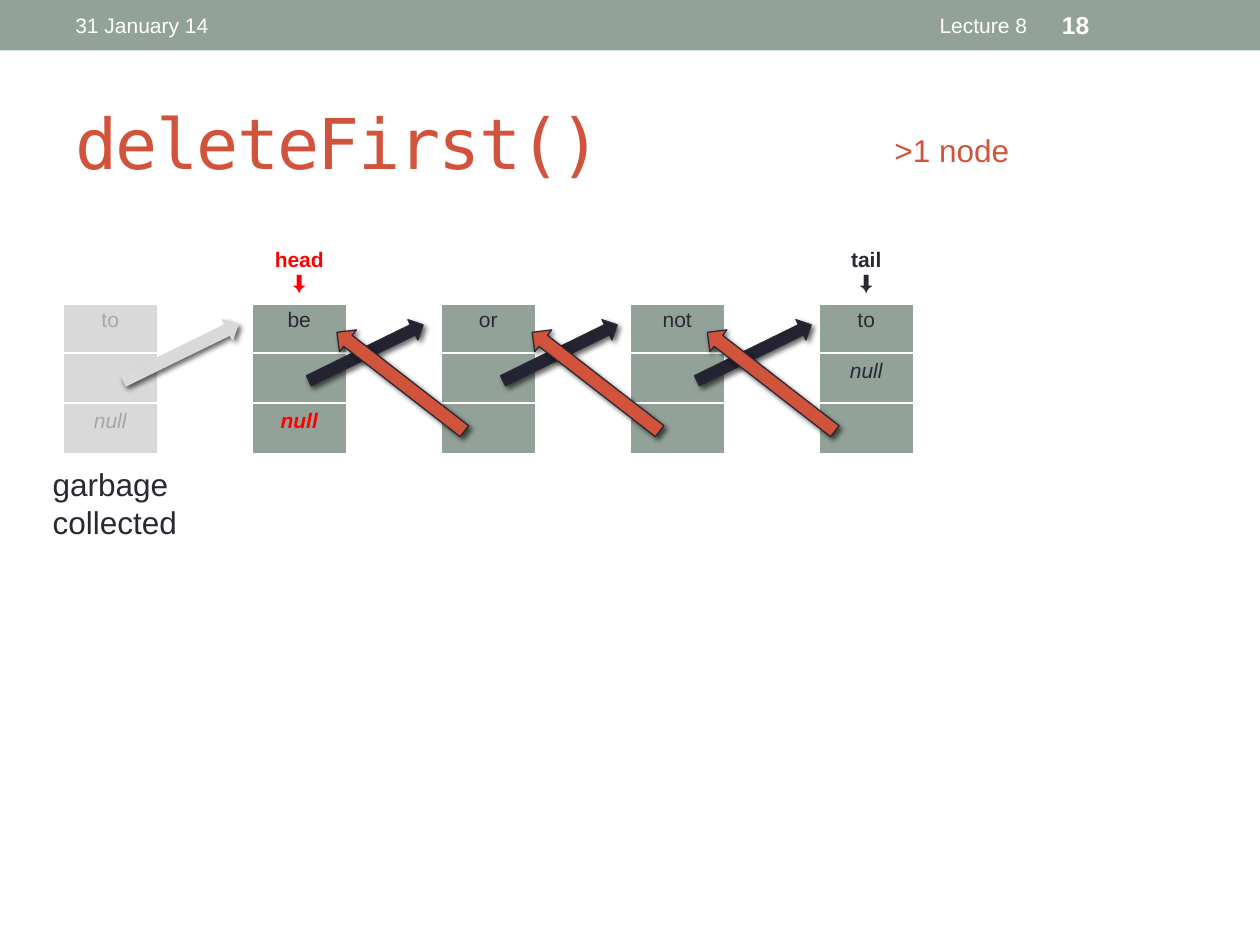
from lxml.etree import SubElement
from pptx import Presentation
from pptx.dml.color import RGBColor
from pptx.enum.shapes import MSO_SHAPE
from pptx.enum.text import MSO_ANCHOR, PP_ALIGN
from pptx.oxml import parse_xml
from pptx.oxml.ns import nsdecls, qn
from pptx.util import Inches, Pt

SAGE = RGBColor(0x93, 0xA2, 0x99)
RUST = RGBColor(0xD2, 0x53, 0x3C)
INK = RGBColor(0x29, 0x29, 0x34)
DEEP_INK = RGBColor(0x23, 0x23, 0x31)
RED = RGBColor(0xFF, 0x00, 0x00)
PALE = RGBColor(0xD9, 0xD9, 0xD9)
GREY = RGBColor(0xA6, 0xA6, 0xA6)
WHITE = RGBColor(0xFF, 0xFF, 0xFF)

TITLE = "deleteFirst()"
LABELS = [
    ("31 January 14", (0.5, 0.02, 3.17, 0.36), 12, WHITE, False, PP_ALIGN.LEFT, MSO_ANCHOR.MIDDLE, True),
    ("Lecture 8", (3.75, 0.02, 4.5, 0.36), 12, WHITE, False, PP_ALIGN.RIGHT, MSO_ANCHOR.MIDDLE, True),
    ("18", (8.33, 0.02, 1.17, 0.36), 14, WHITE, True, PP_ALIGN.LEFT, MSO_ANCHOR.MIDDLE, True),
    (">1 node", (7, 0.99, 1.12, 0.4), 18, RUST, False, PP_ALIGN.LEFT, MSO_ANCHOR.TOP, False),
    ("garbage collected", (0.32, 3.64, 1.24, 0.71), 18, INK, False, PP_ALIGN.LEFT, MSO_ANCHOR.TOP, True),
]
NODES = [
    ("", "to", "", "null"),
    ("head\n\u2b07", "be", "", "null"),
    ("", "or", "", ""),
    ("", "not", "", ""),
    ("tail\n\u2b07", "to", "null", ""),
]
GARBAGE, HEAD = 0, 1
COLUMNS, COLUMN_WIDTH = 12, 0.75
ROW_HEIGHTS = [0.48, 0.4, 0.4, 0.4]

NEXT_ARROW = (2.71, 1.01, 0.18, 333.9)
PREVIOUS_ARROW = (2.92, 1.28, 0.22, 217.8)
ARROWS = [(0.93, NEXT_ARROW, PALE, PALE)]
ARROWS += [(left, NEXT_ARROW, DEEP_INK, INK) for left in (2.4, 3.94, 5.48)]
ARROWS += [(left, PREVIOUS_ARROW, RUST, INK) for left in (5.48, 4.09, 2.54)]

SHADOW = (
    f'<a:effectLst {nsdecls("a")}><a:outerShdw blurRad="38100" dist="25400" dir="2700000" rotWithShape="0">'
    '<a:srgbClr val="000000"><a:alpha val="60000"/></a:srgbClr></a:outerShdw></a:effectLst>'
)


def set_font(paragraph, size, color, bold=False, italic=False, name="Arial"):
    font = paragraph.font
    font.name, font.size, font.bold, font.italic = name, Pt(size), bold, italic
    font.color.rgb = color


def add_label(text, box, size, color, bold, align, anchor, wrap):
    frame = slide.shapes.add_textbox(*map(Inches, box)).text_frame
    frame.text = text
    frame.word_wrap = wrap
    frame.vertical_anchor = anchor
    frame.paragraphs[0].alignment = align
    set_font(frame.paragraphs[0], size, color, bold)


def set_borders(cell, bottom):
    properties = cell._tc.get_or_add_tcPr()
    for side, width in (("lnL", 1), ("lnR", 1), ("lnT", 1), ("lnB", bottom)):
        line = SubElement(properties, qn(f"a:{side}"), w=str(Pt(width)))
        SubElement(SubElement(line, qn("a:solidFill")), qn("a:srgbClr"), val=str(WHITE))


def fill_cell(cell, row, node):
    text = NODES[node][row] if node is not None else ""
    set_borders(cell, 3 if row == 0 else 1)
    if node is None or row == 0:
        cell.fill.background()
    else:
        cell.fill.solid()
        cell.fill.fore_color.rgb = PALE if node == GARBAGE else SAGE
    changed = node == HEAD and (row == 0 or text == "null")
    color = RED if changed else GREY if node == GARBAGE else INK
    cell.text = text
    for paragraph in cell.text_frame.paragraphs:
        paragraph.alignment = PP_ALIGN.CENTER
        set_font(paragraph, 12, color, row == 0 or changed, text == "null")


def add_arrow(left, arrow, fill, outline):
    top, width, height, rotation = arrow
    pointer = slide.shapes.add_shape(
        MSO_SHAPE.RIGHT_ARROW, Inches(left), Inches(top), Inches(width), Inches(height))
    pointer.rotation = rotation
    pointer.fill.solid()
    pointer.fill.fore_color.rgb = fill
    pointer.line.color.rgb = outline
    pointer.line.width = Pt(0.75)
    pointer._element.spPr.append(parse_xml(SHADOW))


deck = Presentation()
deck.slide_width, deck.slide_height = Inches(10), Inches(7.5)
slide = deck.slides.add_slide(deck.slide_layouts[5])

banner = slide.shapes.add_shape(MSO_SHAPE.RECTANGLE, 0, 0, deck.slide_width, Inches(0.4))
banner.shadow.inherit = False
banner.fill.solid()
banner.fill.fore_color.rgb = SAGE
banner.line.fill.background()

title = slide.shapes.title
title.left, title.top, title.width, title.height = map(Inches, (0.5, 0.58, 9, 1.08))
title.text_frame.text = TITLE
title.text_frame.vertical_anchor = MSO_ANCHOR.MIDDLE
heading = title.text_frame.paragraphs[0]
heading.alignment = PP_ALIGN.LEFT
set_font(heading, 40, RUST, name="DejaVu Sans Mono")
heading.runs[0]._r.get_or_add_rPr().set("spc", "-100")

linked_list = slide.shapes.add_table(
    len(ROW_HEIGHTS), COLUMNS, Inches(0.5), Inches(1.92),
    Inches(COLUMNS * COLUMN_WIDTH), Inches(sum(ROW_HEIGHTS))).table
linked_list.first_row = linked_list.horz_banding = False
for column in linked_list.columns:
    column.width = Inches(COLUMN_WIDTH)
for row, height in enumerate(ROW_HEIGHTS):
    linked_list.rows[row].height = Inches(height)
    for column in range(COLUMNS):
        node, gap = divmod(column, 2)
        is_node = not gap and node < len(NODES)
        fill_cell(linked_list.cell(row, column), row, node if is_node else None)

for arrow in ARROWS:
    add_arrow(*arrow)
for label in LABELS:
    add_label(*label)

deck.save("out.pptx")
